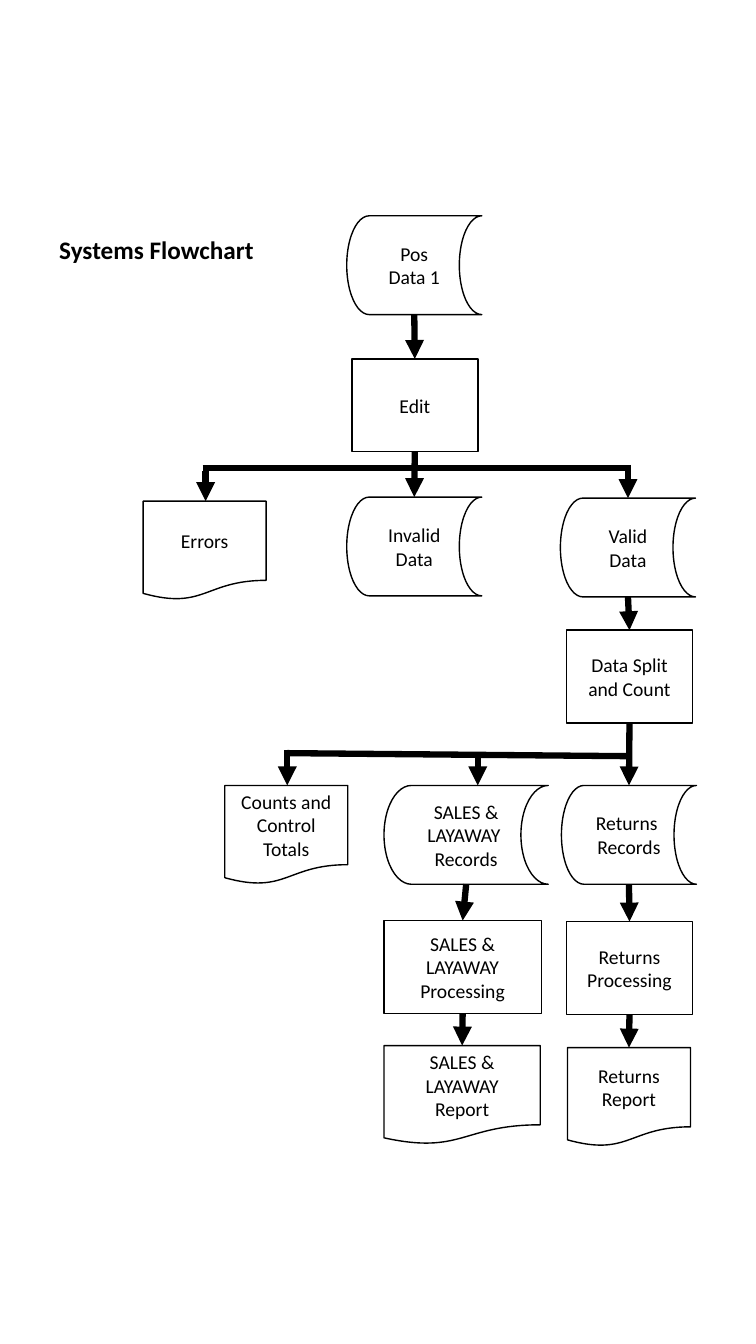
from pptx import Presentation
from pptx.dml.color import RGBColor
from pptx.enum.shapes import MSO_CONNECTOR as Line, MSO_SHAPE as Kind
from pptx.enum.text import MSO_ANCHOR as Anchor, PP_ALIGN as Align
from pptx.oxml.ns import qn
from pptx.util import Inches, Pt
from lxml.etree import SubElement

BLACK = RGBColor(0, 0, 0)
FONT = "Calibri"
TITLE = "Systems Flowchart "

DISK = Kind.FLOWCHART_STORED_DATA
STEP = Kind.FLOWCHART_PROCESS
PAPER = Kind.FLOWCHART_DOCUMENT
SIZES = {DISK: (1.34, 0.98), STEP: (1.25, 0.92), PAPER: (1.22, 0.98)}

NODES = {
    "pos": (DISK, 3.44, 2.14, "Pos\nData 1"),
    "edit": (STEP, 3.49, 3.56, "Edit"),
    "errors": (PAPER, 1.42, 4.97, "Errors"),
    "invalid": (DISK, 3.44, 4.93, "Invalid\nData"),
    "valid": (DISK, 5.56, 4.94, "Valid\nData"),
    "split": (STEP, 5.62, 6.25, "Data Split and Count"),
    "counts": (PAPER, 2.23, 7.79, "Counts and Control Totals"),
    "sales": (DISK, 3.81, 7.79, "SALES & LAYAWAY \nRecords"),
    "returns": (DISK, 5.57, 7.79, "Returns \nRecords"),
    "sales step": (STEP, 3.81, 9.13, "SALES & LAYAWAY\nProcessing"),
    "returns step": (STEP, 5.62, 9.14, "Returns\nProcessing"),
    "sales paper": (PAPER, 3.81, 10.37, "SALES & LAYAWAY\nReport"),
    "returns paper": (PAPER, 5.63, 10.39, "Returns\nReport"),
}
WIDE = {"sales": 1.63, "sales step": 1.56, "sales paper": 1.55}
LINKS = [
    ("pos", "edit"), ("edit", "invalid"), ("valid", "split"),
    ("split", "returns"), ("sales", "sales step"),
    ("returns", "returns step"), ("sales step", "sales paper"),
    ("returns step", "returns paper"),
]
DROPS = [
    (2.04, 4.67, "errors"), (6.23, 4.61, "valid"),
    (2.85, 7.44, "counts"), (4.74, 7.47, "sales"),
]
RAILS = [((2.01, 4.64), (6.26, 4.64)), ((2.85, 7.47), (6.26, 7.5))]


def write(frame, text, size, bold=False):
    frame.word_wrap = True
    frame.text = text
    for para in frame.paragraphs:
        para.alignment = Align.CENTER
        for run in para.runs:
            font = run.font
            font.name, font.size, font.bold = FONT, Pt(size), bold
            font.color.rgb = BLACK


def box(name):
    kind, left, top, text = NODES[name]
    width, height = SIZES[kind]
    return left, top, WIDE.get(name, width), height


def head(name):
    left, top, width, height = box(name)
    return left + width / 2, top


def foot(name):
    left, top, width, height = box(name)
    return left + width / 2, top + height


def draw_node(slide, name):
    kind, left, top, text = NODES[name]
    shape = slide.shapes.add_shape(kind, *map(Inches, box(name)))
    shape.shadow.inherit = False
    shape.fill.background()
    shape.line.color.rgb = BLACK
    shape.line.width = Pt(1)
    shape.text_frame.vertical_anchor = Anchor.MIDDLE
    write(shape.text_frame, text, 14)


def draw_line(slide, start, end, arrow=True):
    line = slide.shapes.add_connector(
        Line.STRAIGHT, *map(Inches, (*start, *end)))
    line.line.color.rgb = BLACK
    line.line.width = Pt(4.5)
    if arrow:
        SubElement(line.line._get_or_add_ln(), qn("a:tailEnd"), type="triangle")
    SubElement(line._element.spPr, qn("a:effectLst"))


def main():
    deck = Presentation()
    deck.slide_width, deck.slide_height = Inches(7.5), Inches(13.33)
    slide = deck.slides.add_slide(deck.slide_layouts[6])
    title = slide.shapes.add_textbox(*map(Inches, (0.02, 2.27, 3.12, 0.4)))
    write(title.text_frame, TITLE, 18, True)
    for name in NODES:
        draw_node(slide, name)
    for start, end in LINKS:
        draw_line(slide, foot(start), head(end))
    for x, y, name in DROPS:
        draw_line(slide, (x, y), (x, head(name)[1]))
    for start, end in RAILS:
        draw_line(slide, start, end, False)
    deck.save("out.pptx")


if __name__ == "__main__":
    main()
